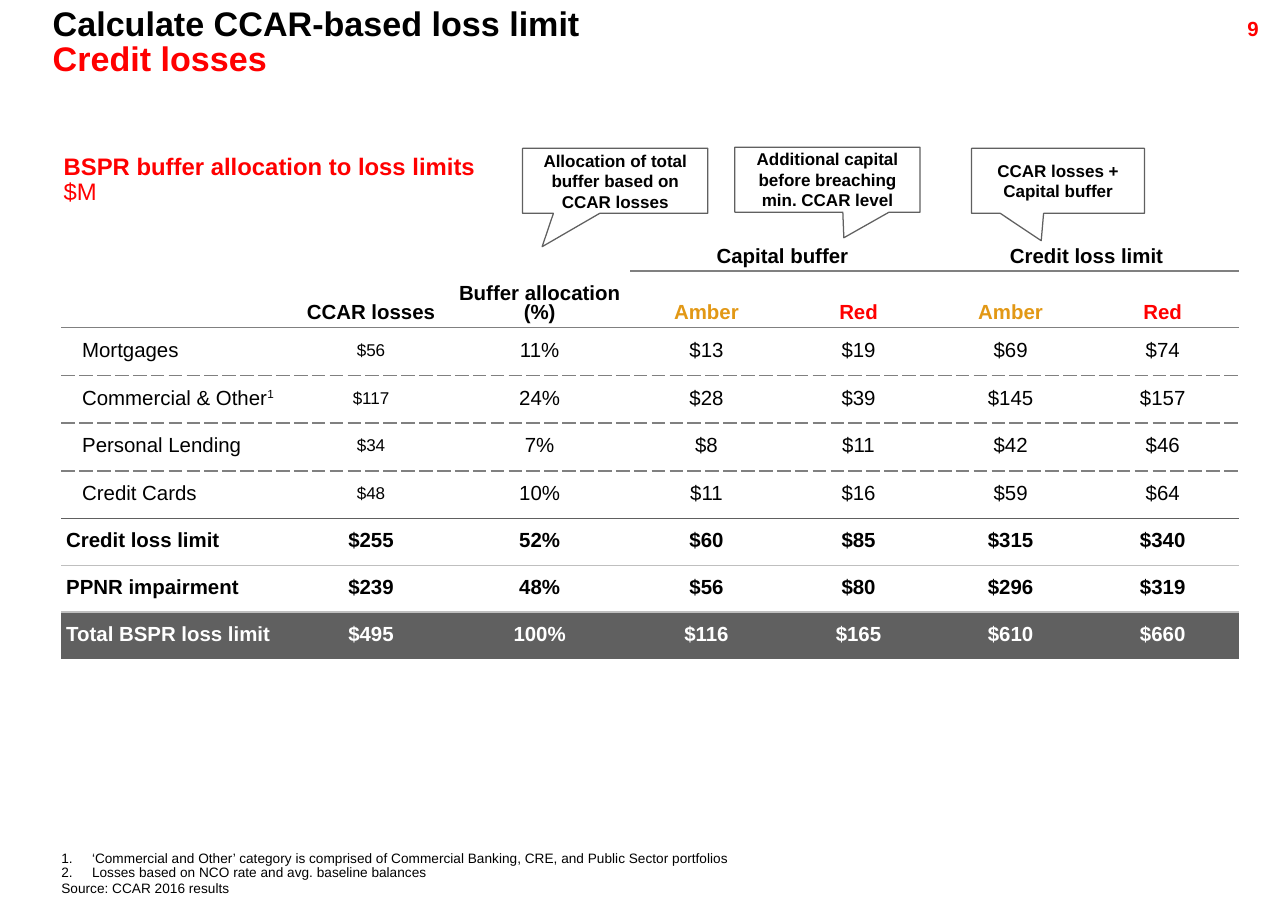
from lxml.etree import SubElement
from pptx import Presentation
from pptx.dml.color import RGBColor
from pptx.enum.shapes import MSO_SHAPE
from pptx.enum.text import MSO_ANCHOR, MSO_AUTO_SIZE, PP_ALIGN
from pptx.oxml.ns import qn
from pptx.util import Inches, Pt

COLORS = {
    "black": "000000",
    "white": "FFFFFF",
    "red": "FF0000",
    "amber": "E29815",
    "rule": "808080",
    "light_rule": "BFBFBF",
    "dark": "606060",
}
FONT = "Arial"
TIGHT = 0.86
COLUMN_WIDTHS = [1.89, 1.27, 1.48] + [1.24] * 4
ROW_HEIGHTS = [0.31, 0.46] + [0.39] * 4 + [0.38] * 3
HEADER_ROWS = 2
PORTFOLIO_ROWS = range(2, 6)
MERGED_COLUMNS = 3
LOSS_TABLE = [
    ["", "CCAR losses", "Buffer allocation (%)", "Capital buffer", "", "Credit loss limit", ""],
    ["", "", "", "Amber", "Red", "Amber", "Red"],
    ["Mortgages", "$56", "11%", "$13", "$19", "$69", "$74"],
    ["Commercial & Other", "$117", "24%", "$28", "$39", "$145", "$157"],
    ["Personal Lending", "$34", "7%", "$8", "$11", "$42", "$46"],
    ["Credit Cards", "$48", "10%", "$11", "$16", "$59", "$64"],
    ["Credit loss limit", "$255", "52%", "$60", "$85", "$315", "$340"],
    ["PPNR impairment", "$239", "48%", "$56", "$80", "$296", "$319"],
    ["Total BSPR loss limit", "$495", "100%", "$116", "$165", "$610", "$660"],
]
SOLID_RULE = ("rule", "solid")
DASHED_RULE = ("rule", "sysDash")
LIGHT_RULE = ("light_rule", "solid")
RULES_BELOW = [SOLID_RULE] * 2 + [DASHED_RULE] * 3 + [("dark", "solid")] + [LIGHT_RULE] * 2 + [None]
CALLOUTS = [
    ("CCAR losses + Capital buffer", (7.92, 1.21, 1.41, 0.53), (-0.097, 0.921)),
    ("Allocation of total buffer based on CCAR losses", (4.26, 1.21, 1.51, 0.53), (-0.394, 1.013)),
    ("Additional capital before breaching min. CCAR level", (5.99, 1.2, 1.51, 0.53), (0.089, 0.894)),
]


def rgb(name):
    return RGBColor.from_string(COLORS[name])


def write(paragraph, text, size=12, color="black", bold=False,
          align=PP_ALIGN.LEFT, spacing=TIGHT, superscript=False):
    paragraph.alignment = align
    paragraph.line_spacing = spacing
    paragraph.space_before = Pt(0)
    if text:
        run = paragraph.add_run()
        run.text = text
        run.font.name = FONT
        run.font.size = Pt(size)
        run.font.bold = bold
        run.font.color.rgb = rgb(color)
        if superscript:
            run.font._element.set("baseline", "30000")


def place(shape, box):
    shape.left, shape.top, shape.width, shape.height = map(Inches, box)


def set_margins(target, horizontal, vertical):
    target.margin_left = target.margin_right = Inches(horizontal)
    target.margin_top = target.margin_bottom = Inches(vertical)


def prepare_frame(shape, horizontal=0.1, vertical=0.05, anchor=MSO_ANCHOR.TOP):
    frame = shape.text_frame
    frame.word_wrap = True
    frame.auto_size = MSO_AUTO_SIZE.NONE
    frame.vertical_anchor = anchor
    set_margins(frame, horizontal, vertical)
    return frame


def add_title(slide, box):
    title = slide.shapes.title
    place(title, box)
    frame = prepare_frame(title)
    write(frame.paragraphs[0], "Calculate CCAR-based loss limit", size=20, bold=True)
    write(frame.add_paragraph(), "Credit losses", size=20, color="red", bold=True)


def add_page_number(slide, box):
    frame = prepare_frame(slide.shapes.add_textbox(*map(Inches, box)))
    write(frame.paragraphs[0], "9", color="red", bold=True, align=PP_ALIGN.RIGHT)


def add_table_heading(slide, box):
    frame = prepare_frame(slide.shapes.add_textbox(*map(Inches, box)))
    write(frame.paragraphs[0], "BSPR buffer allocation to loss limits", size=14, color="red", bold=True)
    write(frame.add_paragraph(), "$M", size=14, color="red")


def add_footnotes(slide, box):
    body = slide.placeholders[1]
    place(body, box)
    frame = prepare_frame(body, 0, 0, MSO_ANCHOR.BOTTOM)
    notes = [
        "‘Commercial and Other’ category is comprised of Commercial Banking, CRE, and Public Sector portfolios",
        "Losses based on NCO rate and avg. baseline balances",
    ]
    paragraph = frame.paragraphs[0]
    for note in notes:
        properties = paragraph._p.get_or_add_pPr()
        properties.set("marL", str(Inches(0.25)))
        properties.set("indent", str(Inches(-0.25)))
        SubElement(properties, qn("a:buFont"), typeface="+mj-lt")
        SubElement(properties, qn("a:buAutoNum"), type="arabicPeriod")
        write(paragraph, note, size=8)
        paragraph = frame.add_paragraph()
    properties = paragraph._p.get_or_add_pPr()
    properties.set("marL", "0")
    properties.set("indent", "0")
    SubElement(properties, qn("a:buNone"))
    write(paragraph, "Source: CCAR 2016 results", size=8, spacing=1.0)


def set_borders(cell, above, below):
    properties = cell._tc.get_or_add_tcPr()
    for side, rule in (("L", None), ("R", None), ("T", above), ("B", below)):
        line = SubElement(properties, qn(f"a:ln{side}"), w=str(Pt(1)))
        if rule is None:
            SubElement(line, qn("a:noFill"))
        else:
            color, dash = rule
            fill = SubElement(line, qn("a:solidFill"))
            SubElement(fill, qn("a:srgbClr"), val=COLORS[color])
            SubElement(line, qn("a:prstDash"), val=dash)


def format_cell(cell, text, row, column):
    is_header = row < HEADER_ROWS
    is_portfolio = row in PORTFOLIO_ROWS
    is_total = row == len(LOSS_TABLE) - 1
    merged_header = row == 1 and column < MERGED_COLUMNS
    above = None if row == 0 or merged_header else RULES_BELOW[row - 1]
    set_borders(cell, above, RULES_BELOW[row])
    cell.fill.solid()
    cell.fill.fore_color.rgb = rgb("dark" if is_total else "white")
    set_margins(cell, 0.04, 0.03)
    cell.vertical_anchor = MSO_ANCHOR.BOTTOM if is_header else MSO_ANCHOR.MIDDLE
    paragraph = cell.text_frame.paragraphs[0]
    if is_portfolio and column == 0:
        paragraph._p.get_or_add_pPr().set("marL", str(Inches(0.13)))
    color = "white" if is_total else {"Amber": "amber", "Red": "red"}.get(text, "black")
    align = PP_ALIGN.LEFT if column == 0 else PP_ALIGN.CENTER
    write(paragraph, text, size=10 if is_portfolio and column == 1 else 12,
          color=color, bold=not is_portfolio, align=align)
    if text == "Commercial & Other":
        write(paragraph, "1", superscript=True)


def add_loss_table(slide, box):
    graphic = slide.shapes.add_table(len(ROW_HEIGHTS), len(COLUMN_WIDTHS), *map(Inches, box))
    table = graphic.table
    table.first_row = table.horz_banding = False
    for column, width in zip(table.columns, COLUMN_WIDTHS):
        column.width = Inches(width)
    for row, height in zip(table.rows, ROW_HEIGHTS):
        row.height = Inches(height)
    for row, texts in enumerate(LOSS_TABLE):
        for column, text in enumerate(texts):
            format_cell(table.cell(row, column), text, row, column)
    for column in range(MERGED_COLUMNS):
        table.cell(0, column).merge(table.cell(1, column))
    for column in (3, 5):
        table.cell(0, column).merge(table.cell(0, column + 1))


def add_callout(slide, text, box, tip):
    callout = slide.shapes.add_shape(MSO_SHAPE.RECTANGULAR_CALLOUT, *map(Inches, box))
    callout.adjustments[0], callout.adjustments[1] = tip
    callout.shadow.inherit = False
    callout.fill.solid()
    callout.fill.fore_color.rgb = rgb("white")
    callout.line.color.rgb = rgb("dark")
    callout.line.width = Pt(0.75)
    frame = prepare_frame(callout, 0.08, 0.08, MSO_ANCHOR.MIDDLE)
    write(frame.paragraphs[0], text, size=10, bold=True, align=PP_ALIGN.CENTER, spacing=1.0)


def main():
    presentation = Presentation()
    presentation.slide_width = Inches(10.5)
    presentation.slide_height = Inches(7.5)
    slide = presentation.slides.add_slide(presentation.slide_layouts[1])
    add_page_number(slide, (9.36, 0.11, 1, 0.24))
    add_footnotes(slide, (0.5, 6.94, 9.5, 0.37))
    add_loss_table(slide, (0.5, 1.9, sum(COLUMN_WIDTHS), sum(ROW_HEIGHTS)))
    add_title(slide, (0.33, 0.02, 9.76, 0.68))
    add_table_heading(slide, (0.42, 1.22, 5.75, 0.51))
    for text, box, tip in CALLOUTS:
        add_callout(slide, text, box, tip)
    presentation.save("out.pptx")


if __name__ == "__main__":
    main()
